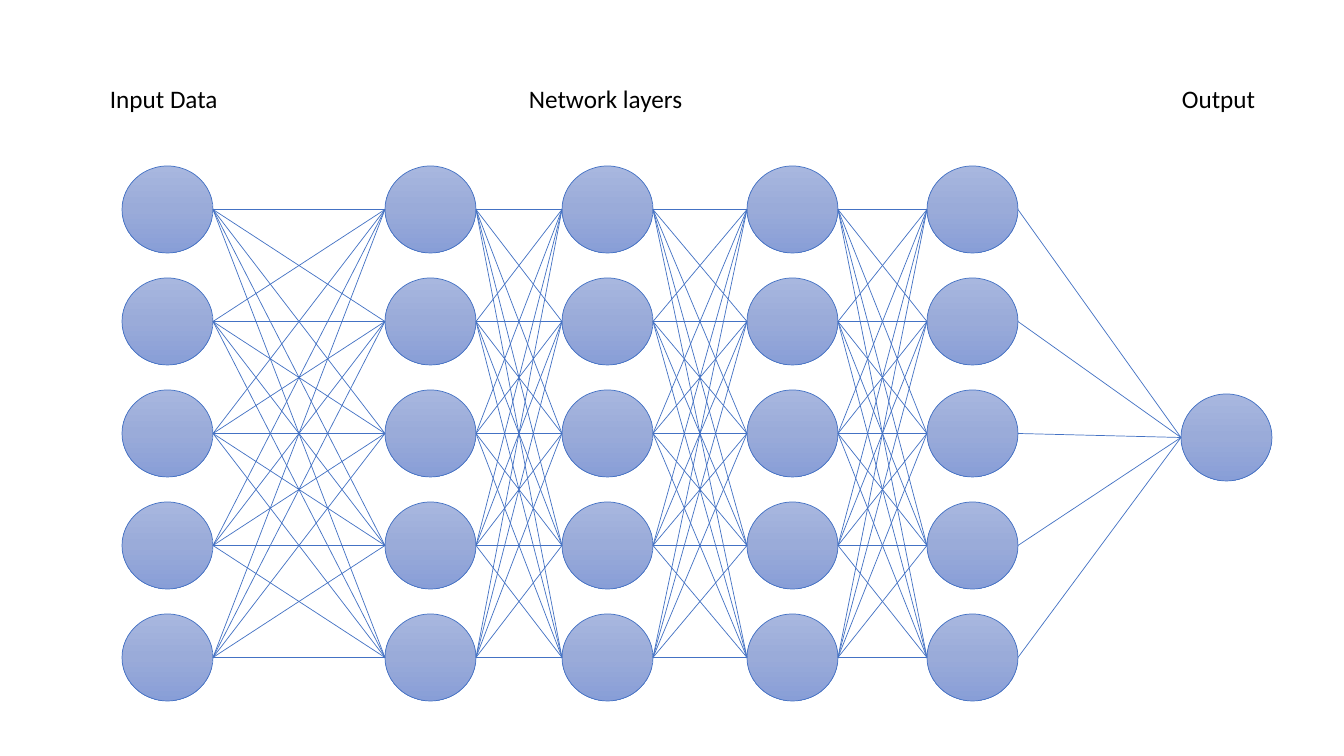
from copy import deepcopy
from itertools import product

from pptx import Presentation
from pptx.dml.color import RGBColor
from pptx.enum.shapes import MSO_CONNECTOR, MSO_SHAPE
from pptx.oxml.ns import qn
from pptx.util import Pt

# Content: headings as (text, left, width)
HEADS = [("Input Data", 100, 134), ("Network layers", 519, 201), ("Output", 1172, 113)]
LAYERS = [122, 385, 562, 747, 927]  # left edge of each full layer
ROWS = [166 + 112 * i for i in range(5)]  # top edge of each row
OUT = (1181, 394)
WIDE, HIGH = 91, 87
HEAD_TOP, HEAD_HIGH = 78, 40
COLORS = {"top": "A8B7DF", "mid": "9AABD9", "low": "889ED7", "line": "4472C4", "text": "000000"}
FONT = "Calibri"
SCALE = 914400 / 100.8  # EMU in one px


def px(*sizes):
    return [round(size * SCALE) for size in sizes]


def color(name):
    return RGBColor.from_string(COLORS[name])


def outline(item):
    item.line.color.rgb = color("line")
    item.line.width = Pt(0.5)


def add_node(left, top):
    node = slide.shapes.add_shape(MSO_SHAPE.FLOWCHART_CONNECTOR, *px(left, top, WIDE, HIGH))
    node.shadow.inherit = False
    node.fill.gradient()
    node.fill.gradient_angle = 270
    # The default gradient has two stops; add a third
    stops = node._element.spPr.find(".//" + qn("a:gsLst"))
    stops.append(deepcopy(stops[0]))
    for stop, name, place in zip(node.fill.gradient_stops, ("top", "mid", "low"), (0, 0.5, 1)):
        stop.color.rgb = color(name)
        stop.position = place
    outline(node)


def add_link(start, end):
    (left, top), (right, base) = start, end
    ends = px(left + WIDE, top + HIGH / 2, right, base + HIGH / 2)
    link = slide.shapes.add_connector(MSO_CONNECTOR.STRAIGHT, *ends)
    props = link._element.spPr
    outline(link)
    props.append(props.makeelement(qn("a:effectLst"), {}))


def add_head(text, left, width):
    box = slide.shapes.add_textbox(*px(left, HEAD_TOP, width, HEAD_HIGH))
    box.text_frame.word_wrap = True
    run = box.text_frame.paragraphs[0].add_run()
    run.text = text
    run.font.name = FONT
    run.font.size = Pt(18)
    run.font.color.rgb = color("text")


deck = Presentation()
deck.slide_width, deck.slide_height = px(1344, 756)
slide = deck.slides.add_slide(deck.slide_layouts[6])

# Nodes, layer by layer
layers = [[(left, top) for top in ROWS] for left in LAYERS] + [[OUT]]
for layer in layers:
    for spot in layer:
        add_node(*spot)

# Links between each pair of neighbouring layers
for layer, after in zip(layers, layers[1:]):
    for start, end in product(layer, after):
        add_link(start, end)

# Headings
for head in HEADS:
    add_head(*head)

deck.save("out.pptx")
